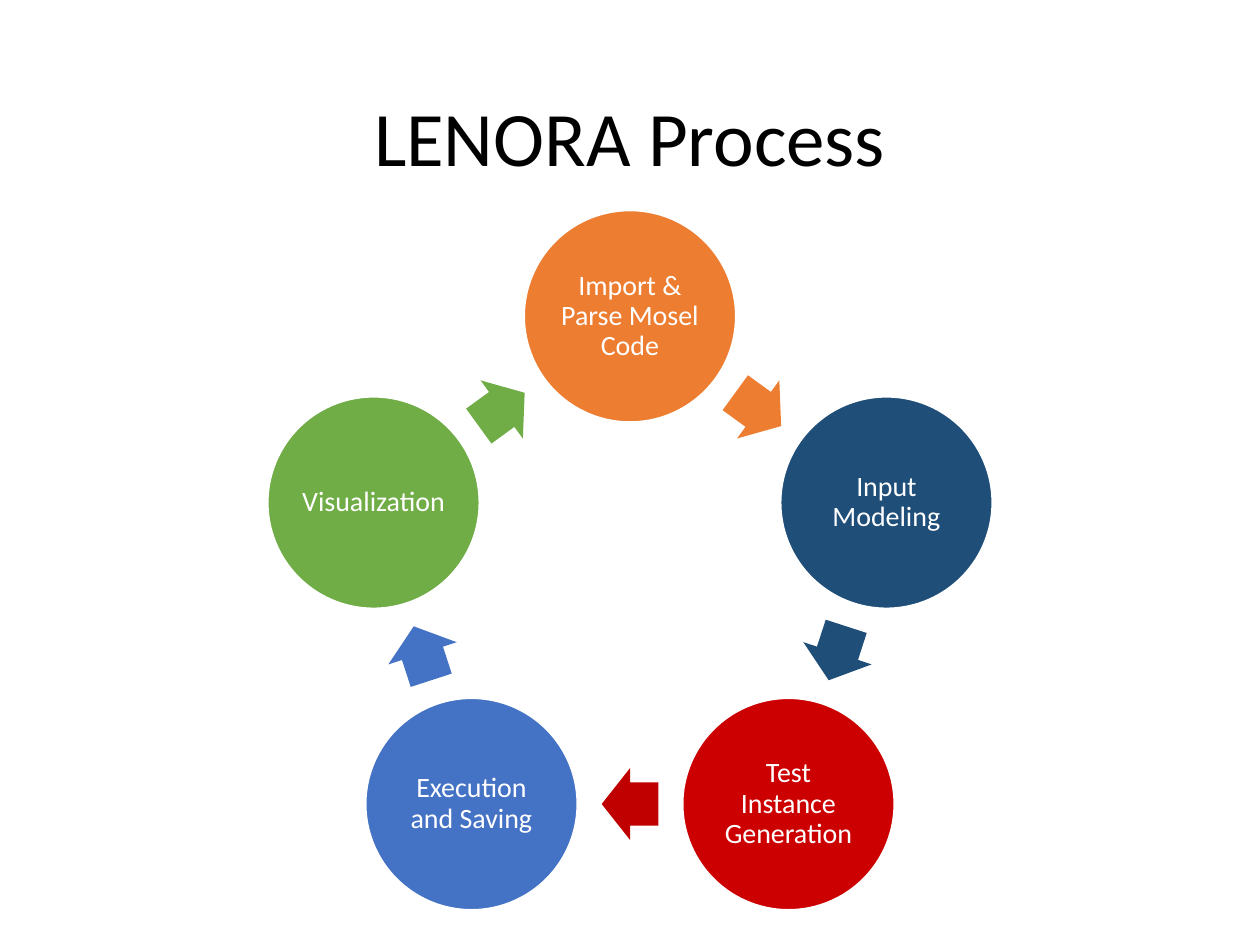
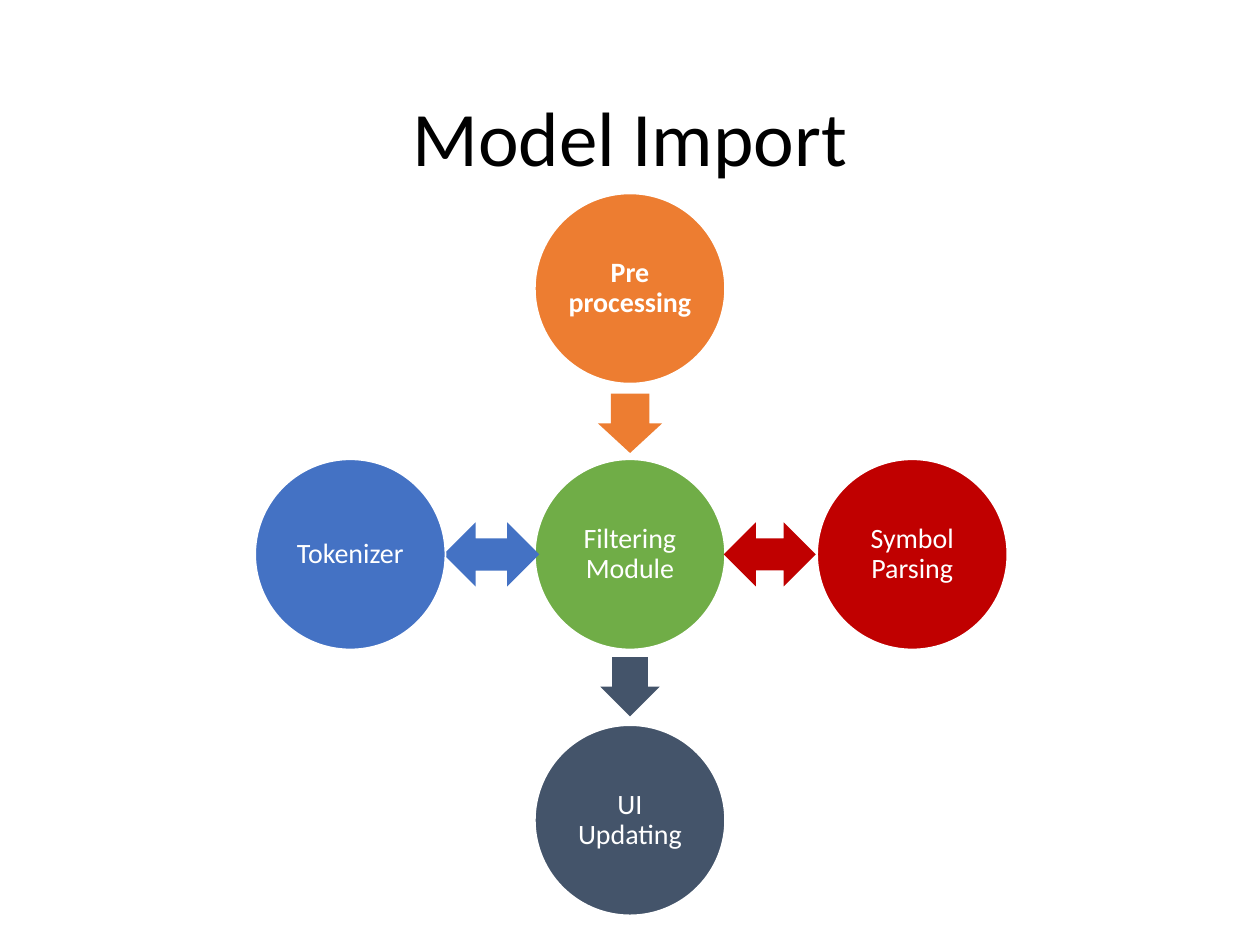
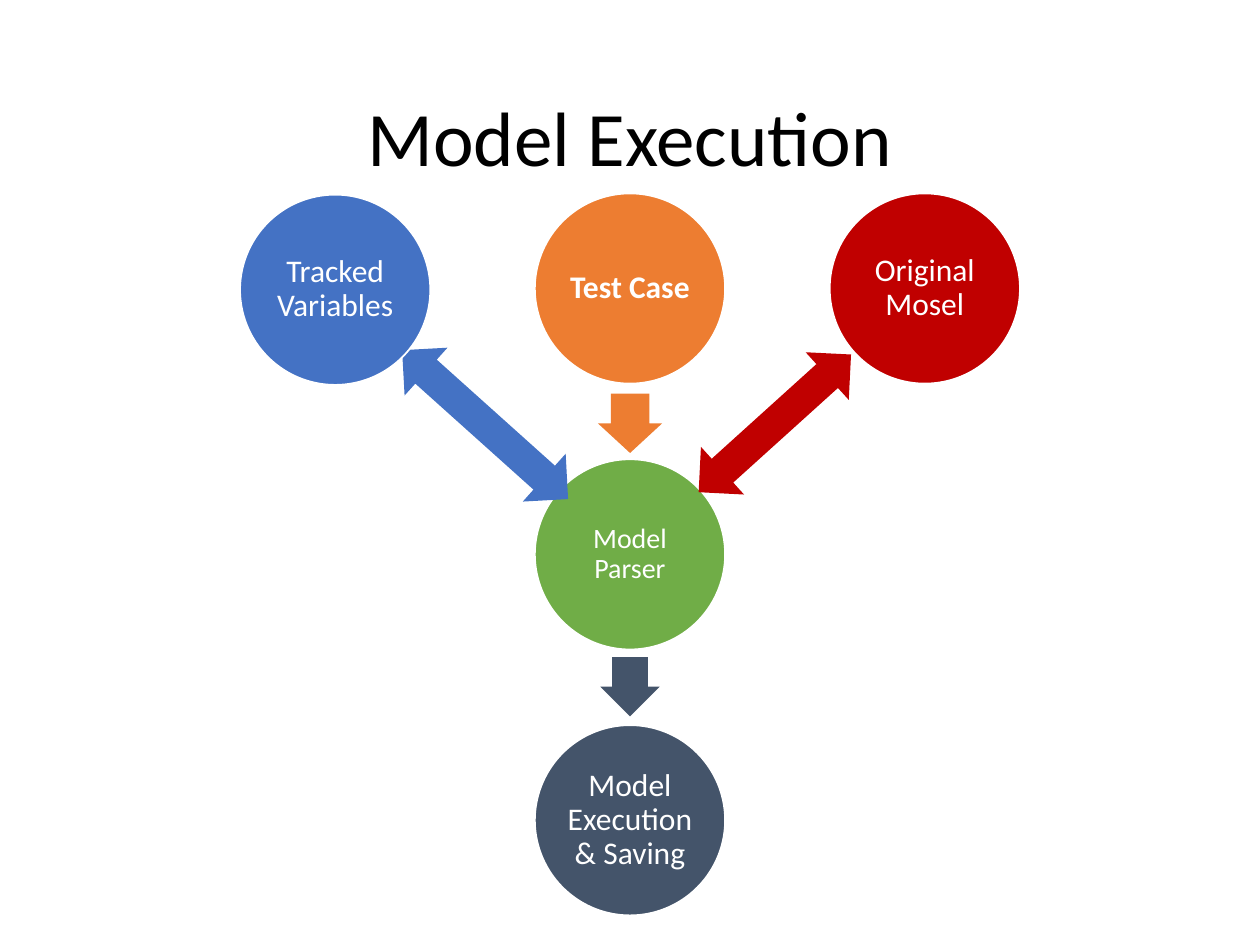
from dataclasses import dataclass
from math import cos, pi, radians, sin
from typing import Any

from pptx import Presentation
from pptx.dml.color import RGBColor
from pptx.enum.shapes import MSO_SHAPE
from pptx.enum.text import MSO_ANCHOR, PP_ALIGN
from pptx.util import Inches, Pt

OVAL = MSO_SHAPE.OVAL
ARROW = MSO_SHAPE.RIGHT_ARROW
DOUBLE = MSO_SHAPE.LEFT_RIGHT_ARROW
MIDDLE = MSO_ANCHOR.MIDDLE
CENTER = PP_ALIGN.CENTER


@dataclass(frozen=True)
class Theme:
    font: str = "Calibri"
    black: str = "000000"
    white: str = "FFFFFF"
    orange: str = "ED7D31"
    navy: str = "1F4E79"
    scarlet: str = "CC0000"
    red: str = "C00000"
    blue: str = "4472C4"
    green: str = "70AD47"
    slate: str = "44546A"
    head: int = 44
    large: int = 18
    small: int = 16


@dataclass(frozen=True)
class Disc:
    x: float
    y: float
    size: float
    text: str
    color: str
    type_size: int
    bold: bool = False


@dataclass(frozen=True)
class Arrow:
    x: float
    y: float
    width: float
    height: float
    turn: float
    color: str
    double: bool = False


@dataclass(frozen=True)
class Step:
    text: str
    color: str
    tip: str


THEME = Theme()
MID_X = 5.0

RING_Y, RING_R, RING_SIZE = 4.65, 2.14, 1.68
STEPS = [
    Step("Import & Parse Mosel Code", THEME.orange, THEME.orange),
    Step("Input Modeling", THEME.navy, THEME.navy),
    Step("Test Instance Generation", THEME.scarlet, THEME.red),
    Step("Execution and Saving", THEME.blue, THEME.blue),
    Step("Visualization", THEME.green, THEME.green),
]

HUB_Y, HUB_SIZE, ROW_GAP = 4.4, 1.51, 2.11
TOP_Y, LOW_Y = HUB_Y - ROW_GAP, HUB_Y + ROW_GAP


def apply(target: Any, values: dict[str, Any]) -> None:
    for name, value in values.items():
        setattr(target, name, value)


def write(shape: Any, text: str, size: int, color: str, inset: float,
          bold: bool = False) -> None:
    frame = shape.text_frame
    pad = Inches(inset)
    apply(frame, {"word_wrap": True, "vertical_anchor": MIDDLE,
                  "margin_left": pad, "margin_right": pad,
                  "margin_top": pad, "margin_bottom": pad})
    line = frame.paragraphs[0]
    apply(line, {"alignment": CENTER, "line_spacing": 0.9})
    run = line.add_run()
    run.text = text
    apply(run.font, {"name": THEME.font, "size": Pt(size), "bold": bold})
    run.font.color.rgb = RGBColor.from_string(color)


def add_form(slide: Any, kind: Any, x: float, y: float, width: float,
             height: float, color: str) -> Any:
    shape = slide.shapes.add_shape(
        kind, Inches(x - width / 2), Inches(y - height / 2),
        Inches(width), Inches(height))
    shape.shadow.inherit = False
    shape.fill.solid()
    shape.fill.fore_color.rgb = RGBColor.from_string(color)
    shape.line.fill.background()
    return shape


def draw_disc(slide: Any, disc: Disc) -> None:
    shape = add_form(slide, OVAL, disc.x, disc.y, disc.size, disc.size,
                     disc.color)
    shape.line.color.rgb = RGBColor.from_string(THEME.white)
    shape.line.width = Pt(1)
    write(shape, disc.text, disc.type_size, THEME.white, 0.02, disc.bold)


def draw_arrow(slide: Any, arrow: Arrow) -> None:
    kind = DOUBLE if arrow.double else ARROW
    shape = add_form(slide, kind, arrow.x, arrow.y, arrow.width,
                     arrow.height, arrow.color)
    shape.rotation = arrow.turn
    if not arrow.double:
        shape.adjustments[0] = 0.6


def add_page(deck: Any, title: str) -> Any:
    slide = deck.slides.add_slide(deck.slide_layouts[6])
    box = slide.shapes.add_textbox(
        Inches(0.69), Inches(0.4), Inches(8.62), Inches(1.45))
    write(box, title, THEME.head, THEME.black, 0.1)
    return slide


def draw_ring(slide: Any, steps: list[Step]) -> None:
    slice_deg = 360 / len(steps)
    tip_r = RING_R * cos(pi / len(steps))
    for i, step in enumerate(steps):
        turn = i * slice_deg
        angle = radians(turn)
        draw_disc(slide, Disc(
            MID_X + RING_R * sin(angle), RING_Y - RING_R * cos(angle),
            RING_SIZE, step.text, step.color, THEME.small))
        turn += slice_deg / 2
        angle = radians(turn)
        draw_arrow(slide, Arrow(
            MID_X + tip_r * sin(angle), RING_Y - tip_r * cos(angle),
            0.45, 0.57, turn, step.tip))


def draw_hub(slide: Any, hub: str, start: str, end: str, size: int,
             sides: list[tuple[Arrow, Disc]]) -> None:
    draw_disc(slide, Disc(MID_X, HUB_Y, HUB_SIZE, hub, THEME.green,
                          THEME.small))
    arms = [
        (Arrow(MID_X, 3.36, 0.47, 0.51, 90, THEME.orange),
         Disc(MID_X, TOP_Y, HUB_SIZE, start, THEME.orange, size, True)),
        (Arrow(MID_X, 5.45, 0.47, 0.47, 90, THEME.slate),
         Disc(MID_X, LOW_Y, HUB_SIZE, end, THEME.slate, size)),
    ]
    for arrow, disc in arms + sides:
        draw_arrow(slide, arrow)
        draw_disc(slide, disc)


def make_side(text: str, x: float, y: float, color: str, size: int,
              tip_x: float, tip_y: float, length: float,
              turn: float) -> tuple[Arrow, Disc]:
    return (Arrow(tip_x, tip_y, length, 0.51, turn, color, True),
            Disc(x, y, HUB_SIZE, text, color, size))


def main() -> None:
    deck = Presentation()
    apply(deck, {"slide_width": Inches(10), "slide_height": Inches(7.5)})

    draw_ring(add_page(deck, "LENORA Process"), STEPS)

    draw_hub(
        add_page(deck, "Model Import"),
        "Filtering Module", "Pre processing", "UI Updating", THEME.small,
        [make_side("Symbol Parsing", 7.24, HUB_Y, THEME.red, THEME.small,
                   6.11, HUB_Y, 0.73, 0),
         make_side("Tokenizer", 2.78, HUB_Y, THEME.blue, THEME.small,
                   3.9, HUB_Y, 0.76, 180)])

    draw_hub(
        add_page(deck, "Model Execution"),
        "Model Parser", "Test Case", "Model Execution & Saving", THEME.large,
        [make_side("Original Mosel", 7.34, TOP_Y, THEME.red, THEME.large,
                   6.15, 3.36, 1.63, 317.9),
         make_side("Tracked Variables", 2.66, 2.3, THEME.blue, THEME.large,
                   3.85, 3.37, 1.77, 221.9)])

    deck.save("out.pptx")


if __name__ == "__main__":
    main()
